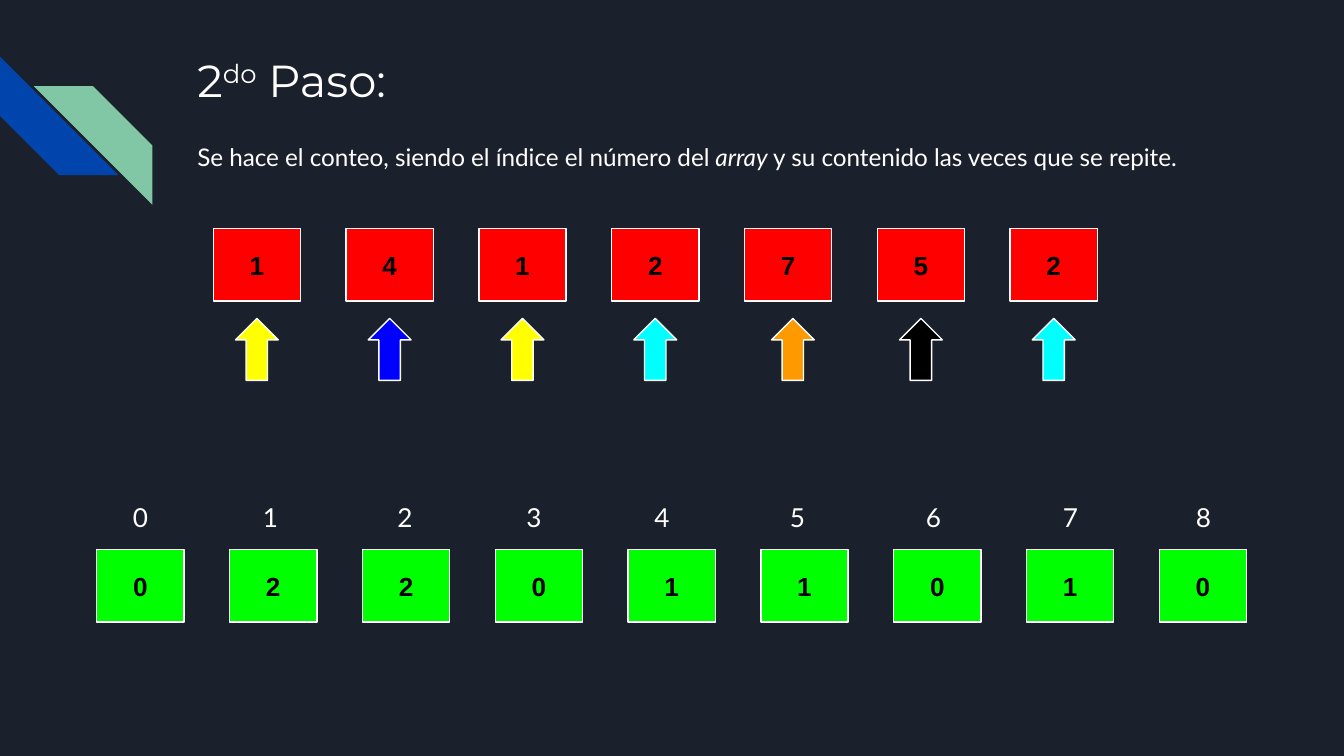
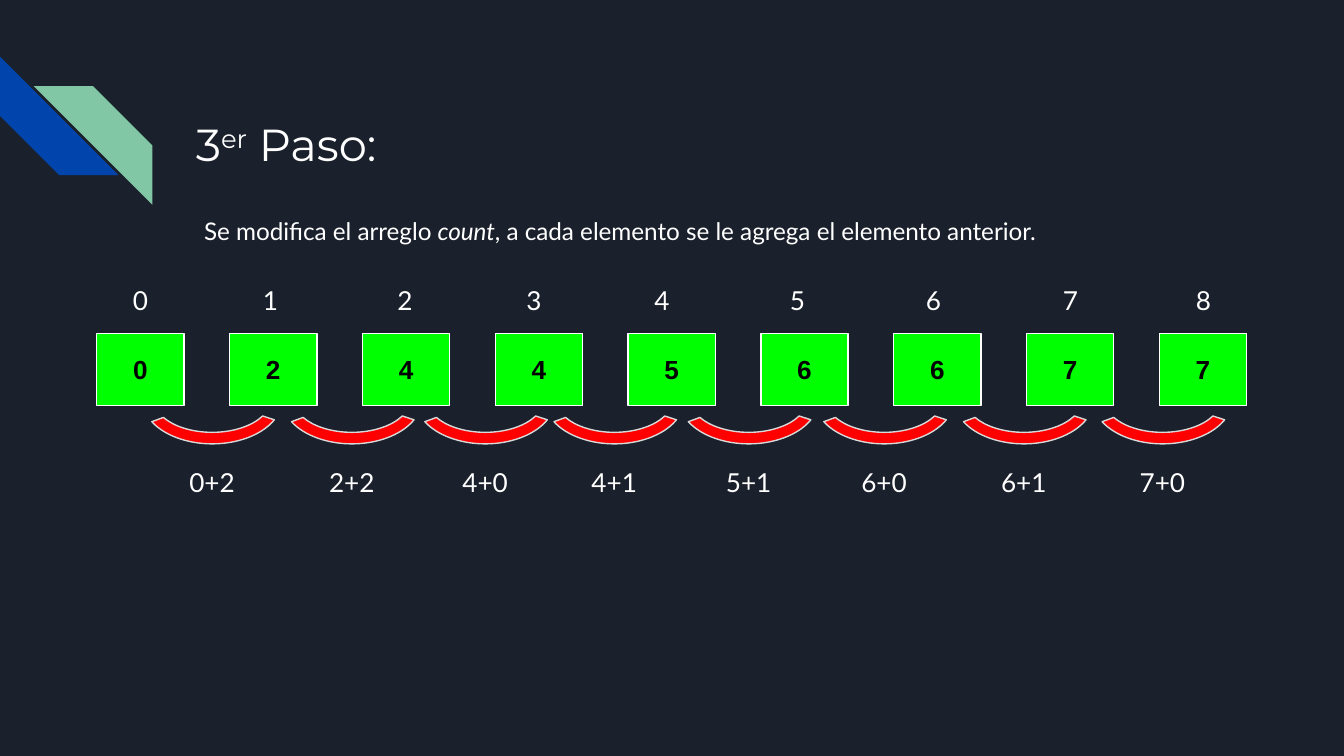
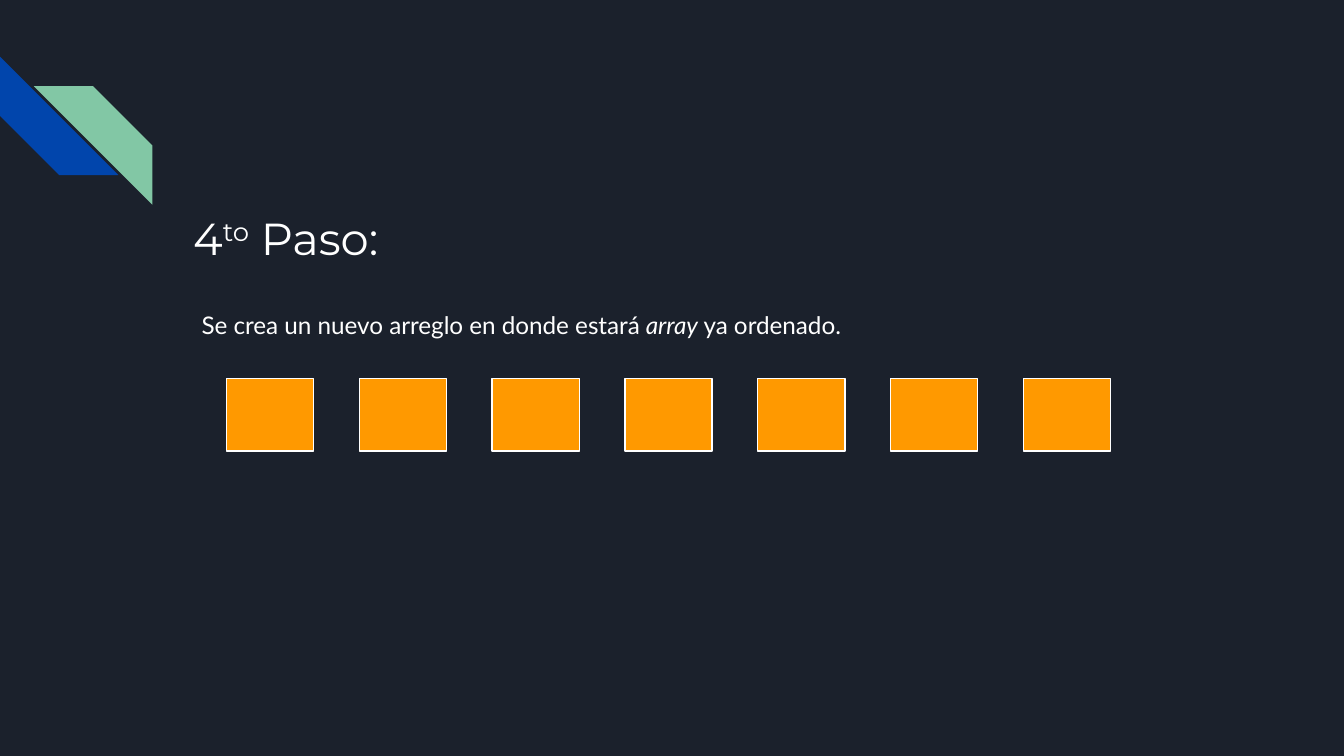
from dataclasses import dataclass

from pptx import Presentation
from pptx.dml.color import RGBColor
from pptx.enum.shapes import MSO_SHAPE
from pptx.enum.text import MSO_ANCHOR, MSO_AUTO_SIZE, PP_ALIGN
from pptx.util import Cm, Pt

RECT, UP_ARROW = MSO_SHAPE.RECTANGLE, MSO_SHAPE.UP_ARROW
ARC, STRIPE = MSO_SHAPE.BLOCK_ARC, MSO_SHAPE.DIAGONAL_STRIPE
TOP, MIDDLE = MSO_ANCHOR.TOP, MSO_ANCHOR.MIDDLE
LEFT, CENTER = PP_ALIGN.LEFT, PP_ALIGN.CENTER
NO_AUTOFIT = MSO_AUTO_SIZE.NONE


@dataclass(frozen=True)
class Theme:
    background: str = "1B212C"
    blue_stripe: str = "0145AC"
    green_stripe: str = "82C7A5"
    white: str = "FFFFFF"
    black: str = "000000"
    arc_outline: str = "D9D9D9"
    red: str = "FF0000"
    green: str = "00FF00"
    orange: str = "FF9900"
    yellow: str = "FFFF00"
    blue: str = "0000FF"
    cyan: str = "00FFFF"
    title_font: str = "Montserrat"
    body_font: str = "Lato"
    cell_font: str = "Arial"
    title_size: int = 24
    body_size: int = 13
    cell_size: int = 14
    outline: float = 0.75


THEME = Theme()

# Content: titles are (number, ordinal, rest), sentences are (before, italic, after)
# Places and sizes are in centimetres
STEPS = [
    {
        "title": ("2", "do", " Paso:"), "title_at": (3.48, 0.74, 2.54),
        "sentence": ("Se hace el conteo, siendo el índice el número del ", "array",
                     " y su contenido las veces que se repite."),
        "sentence_at": (3.48, 2.36),
        "rows": [
            {"values": "1412752", "at": (4.03, 4.32), "color": THEME.red},
            {"values": "022011010", "at": (1.83, 10.39), "color": THEME.green,
             "indexed": True},
        ],
        "arrows": [THEME.yellow, THEME.blue, THEME.yellow, THEME.cyan,
                   THEME.orange, THEME.black, THEME.cyan],
    },
    {
        "title": ("3", "er", " Paso:"), "title_at": (3.45, 1.96, 1.55),
        "sentence": ("Se modifica el arreglo ", "count",
                     ", a cada elemento se le agrega el elemento anterior."),
        "sentence_at": (3.61, 3.76),
        "rows": [
            {"values": "024456677", "at": (1.83, 6.3), "color": THEME.green,
             "indexed": True},
        ],
        "sums": ["0+2", "2+2", "4+0", "4+1", "5+1", "6+0", "6+1", "7+0"],
    },
    {
        "title": ("4", "to", " Paso:"), "title_at": (3.4, 3.73, 1.55),
        "sentence": ("Se crea un nuevo arreglo en donde estará ", "array",
                     " ya ordenado."),
        "sentence_at": (3.56, 5.54),
        "rows": [
            {"values": [""] * 7, "at": (4.28, 7.16), "color": THEME.orange},
        ],
    },
]

# Layout
CELL_W, CELL_H, CELL_PITCH = 1.65, 1.37, 2.51
ARROW_W, ARROW_H, ARROW_TOP = 0.81, 1.17, 6.02
ARROW_NUDGE = {THEME.orange: 0.09}
INDEX_LEFTS = [2.26, 4.72, 7.26, 9.7, 12.12, 14.68, 17.25, 19.84, 22.35]
INDEX_W, INDEX_H, INDEX_RISE = 0.81, 0.89, 1.17
ARC_LEFTS = [2.69, 5.33, 7.85, 10.29, 12.83, 15.39, 18.03, 20.65]
ARC_W, ARC_H, ARC_TOP = 2.64, 1.68, 6.71
SUM_W, SUM_H, SUM_TOP = 1.37, 1.02, 8.56
TEXT_W, SENTENCE_H, INSET = 19.56, 1.4, 0.25
STRIPE_SIZE = 2.24


def place(left, top, width, height):
    return [Cm(length) for length in (left, top, width, height)]


def write(shape, pieces, font, size, color, align=LEFT, anchor=TOP, wrap=True):
    """Fill one paragraph with the pieces; return it for further styling."""
    frame = shape.text_frame
    frame.auto_size, frame.word_wrap = NO_AUTOFIT, wrap
    frame.vertical_anchor = anchor
    frame.margin_left = frame.margin_right = Cm(INSET)
    frame.margin_top = frame.margin_bottom = Cm(INSET)
    paragraph = frame.paragraphs[0]
    paragraph.alignment = align
    for piece in pieces:
        paragraph.add_run().text = piece
    paragraph.font.name, paragraph.font.size = font, Pt(size)
    paragraph.font.color.rgb = RGBColor.from_string(color)
    return paragraph


def add_figure(slide, kind, box, fill, outline=None):
    figure = slide.shapes.add_shape(kind, *place(*box))
    figure.shadow.inherit = False
    figure.fill.solid()
    figure.fill.fore_color.rgb = RGBColor.from_string(fill)
    if outline:
        figure.line.color.rgb = RGBColor.from_string(outline)
        figure.line.width = Pt(THEME.outline)
    else:
        figure.line.fill.background()
    return figure


def add_label(slide, text, box, align):
    label = slide.shapes.add_textbox(*place(*box))
    write(label, [text], THEME.body_font, THEME.cell_size, THEME.white, align,
          wrap=False)


def add_stripes(slide):
    blue = add_figure(slide, STRIPE, (0, 1.07, STRIPE_SIZE, STRIPE_SIZE),
                      THEME.blue_stripe)
    blue.rotation = 270
    green = add_figure(slide, STRIPE, (0.64, 1.63, STRIPE_SIZE, STRIPE_SIZE),
                       THEME.green_stripe)
    green._element.spPr.xfrm.set("flipH", "1")


def add_heading(slide, step):
    left, top, height = step["title_at"]
    title = slide.shapes.title
    title.left, title.top, title.width, title.height = place(left, top, TEXT_W, height)
    heading = write(title, step["title"], THEME.title_font, THEME.title_size,
                    THEME.white)
    heading.runs[1]._r.get_or_add_rPr().set("baseline", "30000")

    sentence = slide.shapes.add_textbox(
        *place(*step["sentence_at"], TEXT_W, SENTENCE_H))
    line = write(sentence, step["sentence"], THEME.body_font, THEME.body_size,
                 THEME.white)
    line.line_spacing, line.space_after = 1.15, Pt(16)
    line.runs[1].font.italic = True


def add_row(slide, row):
    left, top = row["at"]
    for i, value in enumerate(row["values"]):
        cell = add_figure(slide, RECT, (left + i * CELL_PITCH, top, CELL_W, CELL_H),
                          row["color"], THEME.white)
        if value:
            digit = write(cell, [value], THEME.cell_font, THEME.cell_size,
                          THEME.black, CENTER, MIDDLE)
            digit.font.bold = True
    if row.get("indexed"):
        for i, index_left in enumerate(INDEX_LEFTS):
            add_label(slide, str(i),
                      (index_left, top - INDEX_RISE, INDEX_W, INDEX_H), LEFT)


def add_arrows(slide, colors, row_left):
    first = row_left + (CELL_W - ARROW_W) / 2
    for i, color in enumerate(colors):
        left = first + i * CELL_PITCH + ARROW_NUDGE.get(color, 0)
        add_figure(slide, UP_ARROW, (left, ARROW_TOP, ARROW_W, ARROW_H),
                   color, THEME.white)


def add_sums(slide, sums):
    for left, total in zip(ARC_LEFTS, sums):
        arc = add_figure(slide, ARC, (left, ARC_TOP, ARC_W, ARC_H),
                         THEME.red, THEME.arc_outline)
        arc.rotation = 180
        for i, adjustment in enumerate((118.9, 203.86, 0.13)):
            arc.adjustments[i] = adjustment
        add_label(slide, total,
                  (left + (ARC_W - SUM_W) / 2, SUM_TOP, SUM_W, SUM_H), CENTER)


def main():
    prs = Presentation()
    prs.slide_width, prs.slide_height = Cm(25.4), Cm(14.29)
    backdrop = prs.slide_master.background.fill
    backdrop.solid()
    backdrop.fore_color.rgb = RGBColor.from_string(THEME.background)
    title_only = prs.slide_layouts[5]

    for step in STEPS:
        slide = prs.slides.add_slide(title_only)
        add_stripes(slide)
        add_heading(slide, step)
        add_sums(slide, step.get("sums", []))
        for row in step["rows"]:
            add_row(slide, row)
        add_arrows(slide, step.get("arrows", []), step["rows"][0]["at"][0])
    prs.save("out.pptx")


if __name__ == "__main__":
    main()
